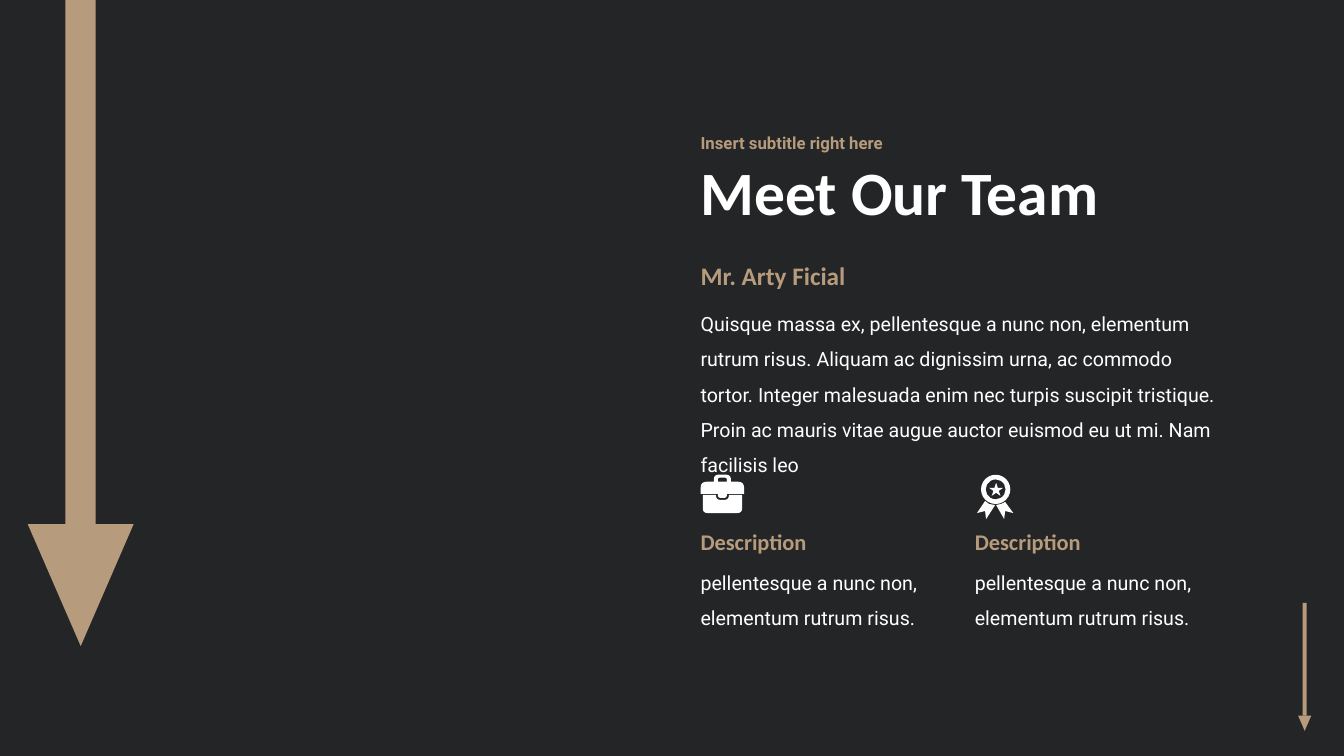
import pptx
import pptx.util
import pptx.dml.color
import pptx.enum.shapes
import pptx.enum.text

Inches = pptx.util.Inches
Pt = pptx.util.Pt
RGBColor = pptx.dml.color.RGBColor
Shape = pptx.enum.shapes.MSO_SHAPE
Anchor = pptx.enum.text.MSO_ANCHOR
AutoSize = pptx.enum.text.MSO_AUTO_SIZE

CHARCOAL = RGBColor(0x24, 0x25, 0x27)
TAN = RGBColor(0xB6, 0x9B, 0x7D)
WHITE = RGBColor(0xFF, 0xFF, 0xFF)

CURVE_STEPS = 8

BIOGRAPHY = (
    "Quisque massa ex, pellentesque a nunc non, elementum rutrum risus. "
    "Aliquam ac dignissim urna, ac commodo tortor. Integer malesuada enim nec "
    "turpis suscipit tristique. Proin ac mauris vitae augue auctor euismod eu "
    "ut mi. Nam facilisis leo"
)
DESCRIPTION = "pellentesque a nunc non, elementum rutrum risus."

# Corners are x, y and, where rounded, a radius
CASE_BODY = [
    (6.97, 4.91), (7.1, 4.91), (7.1, 4.96, 0.05), (7.23, 4.96, 0.05),
    (7.23, 4.91), (7.36, 4.91), (7.36, 5.09, 0.05), (6.97, 5.09, 0.05),
]
CASE_LID = [
    (6.95, 4.9), (6.95, 4.78, 0.06), (7.08, 4.78), (7.08, 4.71, 0.05),
    (7.25, 4.71, 0.05), (7.25, 4.78), (7.38, 4.78, 0.06), (7.38, 4.9),
    (7.21, 4.9), (7.21, 4.94, 0.03), (7.12, 4.94, 0.03), (7.12, 4.9),
]
CASE_HANDLE_HOLE = [
    (7.12, 4.78), (7.12, 4.74, 0.02), (7.21, 4.74, 0.02), (7.21, 4.78),
]
LEFT_RIBBON = [
    (9.77, 4.97), (9.81, 5), (9.87, 5.01), (9.78, 5.15), (9.77, 5.07), (9.69, 5.09),
]
RIGHT_RIBBON = [
    (10.05, 5.09), (9.97, 5.07), (9.96, 5.15), (9.88, 5.01), (9.93, 5), (9.97, 4.98),
]


def toward(start, end, distance):
    """Return the point that lies distance away from start on the way to end."""
    length = ((end[0] - start[0]) ** 2 + (end[1] - start[1]) ** 2) ** 0.5
    return tuple(start[i] + (end[i] - start[i]) * distance / length for i in (0, 1))


def round_corners(corners):
    """Return outline points, with each rounded corner as a quadratic curve."""
    points = []
    for index, corner in enumerate(corners):
        if len(corner) == 2:
            points.append(corner)
            continue
        radius = corner[2]
        begin = toward(corner, corners[index - 1], radius)
        end = toward(corner, corners[(index + 1) % len(corners)], radius)
        for step in range(CURVE_STEPS + 1):
            t = step / CURVE_STEPS
            points.append(tuple(
                (1 - t) ** 2 * begin[i] + 2 * t * (1 - t) * corner[i] + t ** 2 * end[i]
                for i in (0, 1)
            ))
    return [(Inches(x), Inches(y)) for x, y in points]


class TeamSlide:
    heading_font = "Calibri"
    body_font = "Roboto"

    def __init__(self, presentation):
        self.slide = presentation.slides.add_slide(presentation.slide_layouts[6])
        fill = self.slide.background.fill
        fill.solid()
        fill.fore_color.rgb = CHARCOAL

    def group(self):
        return self.slide.shapes.add_group_shape().shapes

    def paint(self, shape, color):
        shape.shadow.inherit = False
        shape.fill.solid()
        shape.fill.fore_color.rgb = color
        shape.line.fill.background()

    def preset(self, shapes, kind, box, color):
        shape = shapes.add_shape(kind, *map(Inches, box))
        self.paint(shape, color)
        return shape

    def outline(self, shapes, *contours):
        first, *others = [round_corners(contour) for contour in contours]
        builder = shapes.build_freeform(*first[0])
        builder.add_line_segments(first[1:])
        for points in others:
            builder.move_to(*points[0])
            builder.add_line_segments(points[1:])
        self.paint(builder.convert_to_shape(), WHITE)

    def down_arrow(self, center, top, shaft_width, head_top, head_width, head_height):
        shapes = self.group()
        shaft = (center - shaft_width / 2, top, shaft_width, head_top - top)
        head = (center - head_width / 2, head_top, head_width, head_height)
        self.preset(shapes, Shape.RECTANGLE, shaft, TAN)
        self.preset(shapes, Shape.ISOSCELES_TRIANGLE, head, TAN).rotation = 180

    def text(self, box, words, size, font, color, bold=False, spacing=1.0, anchor=Anchor.TOP):
        shape = self.slide.shapes.add_textbox(*map(Inches, box))
        frame = shape.text_frame
        frame.word_wrap = True
        frame.vertical_anchor = anchor
        if anchor == Anchor.TOP:
            frame.auto_size = AutoSize.SHAPE_TO_FIT_TEXT
        paragraph = frame.paragraphs[0]
        paragraph.text = words
        paragraph.line_spacing = spacing
        paragraph.font.size = Pt(size)
        paragraph.font.name = font
        paragraph.font.bold = bold
        paragraph.font.color.rgb = color

    def heading(self, box, words, size):
        self.text(box, words, size, self.heading_font, TAN, bold=True)

    def body(self, box, words):
        self.text(box, words, 14, self.body_font, WHITE, spacing=1.5)

    def briefcase(self):
        shapes = self.group()
        self.outline(shapes, CASE_BODY)
        self.outline(shapes, CASE_LID, CASE_HANDLE_HOLE)

    def medal(self):
        shapes = self.group()
        ring = self.preset(shapes, Shape.DONUT, (9.73, 4.71, 0.29, 0.29), WHITE)
        ring.adjustments[0] = 0.16
        self.outline(shapes, LEFT_RIBBON)
        self.outline(shapes, RIGHT_RIBBON)
        self.preset(shapes, Shape.STAR_5_POINT, (9.81, 4.79, 0.14, 0.13), WHITE)


def main():
    presentation = pptx.Presentation()
    presentation.slide_width = Inches(13.33)
    presentation.slide_height = Inches(7.5)
    team = TeamSlide(presentation)

    team.down_arrow(12.94, 5.98, 0.04, 7.1, 0.13, 0.15)
    team.text((6.85, 1.43, 7.5, 1.03), "Meet Our Team", 44, team.heading_font, WHITE,
              bold=True, spacing=0.9, anchor=Anchor.MIDDLE)
    team.text((6.85, 1.24, 7.5, 0.38), "Insert subtitle right here", 12, team.body_font, TAN,
              bold=True, spacing=0.9, anchor=Anchor.MIDDLE)
    team.down_arrow(0.8, -0.55, 0.3, 5.2, 1.05, 1.21)

    team.body((6.85, 2.93, 5.33, 1.48), BIOGRAPHY)
    team.heading((6.85, 2.53, 2.92, 0.4), "Mr. Arty Ficial", 18)
    for left in (6.85, 9.57):
        team.body((left, 5.5, 2.53, 0.77), DESCRIPTION)
        team.heading((left, 5.19, 2, 0.37), "Description", 16)
    team.briefcase()
    team.medal()

    presentation.save("out.pptx")


if __name__ == "__main__":
    main()
